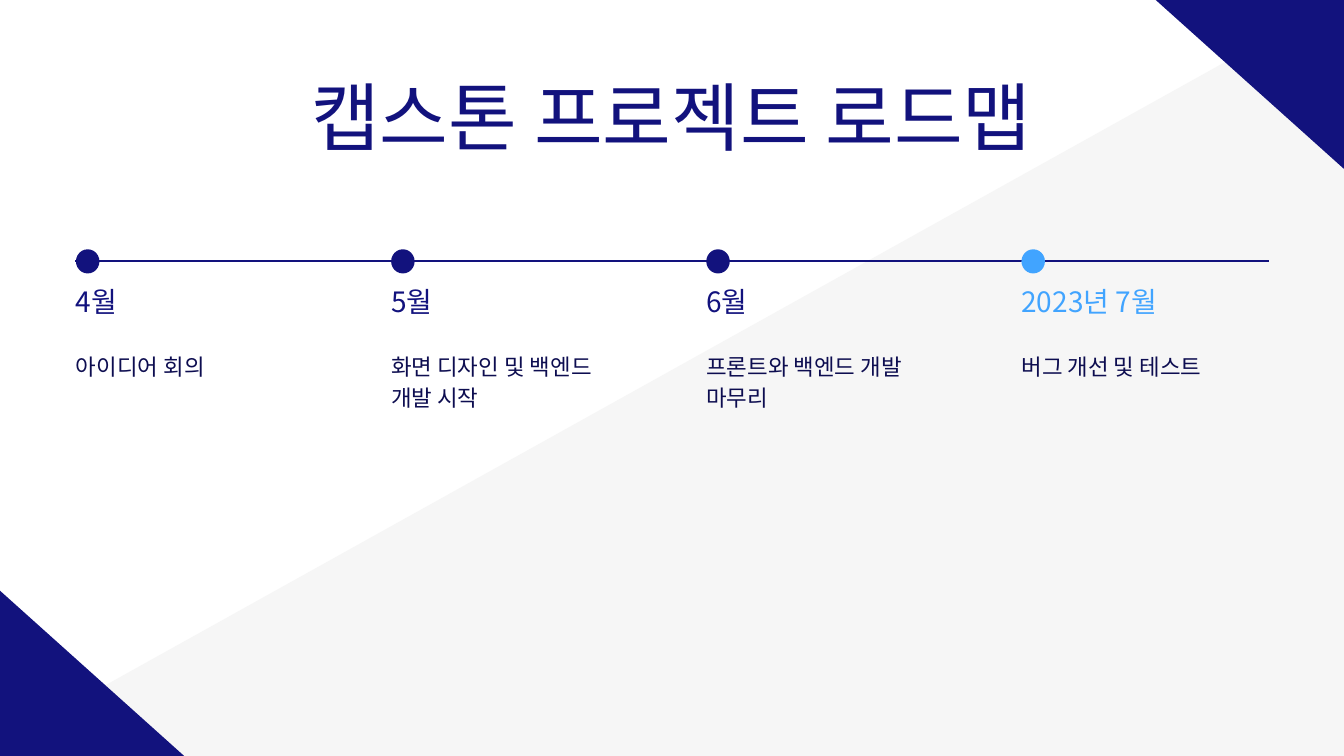
"""Build the capstone project roadmap slide."""
import pptx
import pptx.chart.data
import pptx.dml.color
import pptx.enum.shapes
import pptx.enum.text
import pptx.oxml
import pptx.oxml.ns
import pptx.util
from pptx.dml.color import RGBColor
from pptx.util import Inches

NAVY = RGBColor(0x12, 0x12, 0x7D)
INK = RGBColor(0x0D, 0x0D, 0x50)
SKY = RGBColor(0x41, 0xA4, 0xFF)
PALE = RGBColor(0xF6, 0xF6, 0xF6)

BODY_FONT = "Calibri"
KOREAN_FONT = "Noto Sans CJK KR"

LEFT = 1.13
PITCH = 4.69
MILESTONES = [
    ("4월", "아이디어 회의", NAVY, 3.48, 0.44),
    ("5월", "화면 디자인 및 백엔드 개발 시작", NAVY, 3.48, 0.9),
    ("6월", "프론트와 백엔드 개발 마무리", NAVY, 3.09, 0.9),
    ("2023년 7월", "버그 개선 및 테스트", SKY, 3.48, 0.44),
]


def add_filled(s, kind, box, color, rotation=0):
    """Add a preset shape with a plain fill and no outline."""
    sp = s.shapes.add_shape(kind, *map(Inches, box))
    sp.shadow.inherit = False
    sp.fill.solid()
    sp.fill.fore_color.rgb = color
    sp.line.fill.background()
    sp.rotation = rotation


def add_timeline(s, x1, x2, y):
    """Add the horizontal line that carries the milestones."""
    line = s.shapes.add_connector(
        pptx.enum.shapes.MSO_CONNECTOR.STRAIGHT,
        Inches(x1), Inches(y), Inches(x2), Inches(y))
    line.line.color.rgb = NAVY
    line.line.width = pptx.util.Pt(2.25)
    line.element.spPr.append(pptx.oxml.parse_xml(
        "<a:effectLst %s/>" % pptx.oxml.ns.nsdecls("a")))


def set_text(sp, box, text, size, spacing, font, color,
             align=pptx.enum.text.PP_ALIGN.LEFT):
    """Place a text shape and format its single paragraph."""
    sp.left, sp.top, sp.width, sp.height = map(Inches, box)
    tf = sp.text_frame
    tf.text = text
    tf.word_wrap = True
    tf.auto_size = pptx.enum.text.MSO_AUTO_SIZE.SHAPE_TO_FIT_TEXT
    tf.vertical_anchor = pptx.enum.text.MSO_ANCHOR.TOP
    tf.margin_left = tf.margin_top = tf.margin_right = tf.margin_bottom = 0
    p = tf.paragraphs[0]
    p.alignment = align
    p.line_spacing = pptx.util.Pt(spacing)
    r = p.runs[0]
    r.font.size = pptx.util.Pt(size)
    r.font.name = font
    r.font.color.rgb = color
    r.font.bold = False


def add_text(s, box, *style):
    """Add a text box with one formatted paragraph."""
    set_text(s.shapes.add_textbox(*map(Inches, box)), box, *style)


def add_milestone(s, x, month, task, color, width, height):
    """Add the dot, month and task of one milestone."""
    add_filled(s, pptx.enum.shapes.MSO_SHAPE.OVAL, (x, 3.71, 0.35, 0.36), color)
    add_text(s, (x, 4.23, 3.48, 0.51), month, 30, 36, KOREAN_FONT, color)
    add_text(s, (x, 5.19, width, height), task, 24, 33.6, BODY_FONT, INK)


def main():
    """Build and save the slide."""
    prs = pptx.Presentation()
    prs.slide_width = Inches(20)
    prs.slide_height = Inches(11.25)
    s = prs.slides.add_slide(prs.slide_layouts[5])

    rectangle = pptx.enum.shapes.MSO_SHAPE.RECTANGLE
    add_filled(s, rectangle, (5.78, 0.26, 15.64, 24.38), PALE, 240.9)
    for x, y in ((18.09, -3.58), (-3.04, 9.18)):
        add_filled(s, rectangle, (x, y, 5.58, 6.27), NAVY, 131.9)

    title = s.shapes.title
    s.shapes.element.append(title.element)
    set_text(title, (1.12, 1.06, 17.75, 1.35), "캡스톤 프로젝트 로드맵",
             80, 96, BODY_FONT, NAVY, pptx.enum.text.PP_ALIGN.CENTER)

    add_timeline(s, 1.12, 18.88, 3.88)
    for i, milestone in enumerate(MILESTONES):
        add_milestone(s, LEFT + i * PITCH, *milestone)

    prs.save("out.pptx")


if __name__ == "__main__":
    main()
